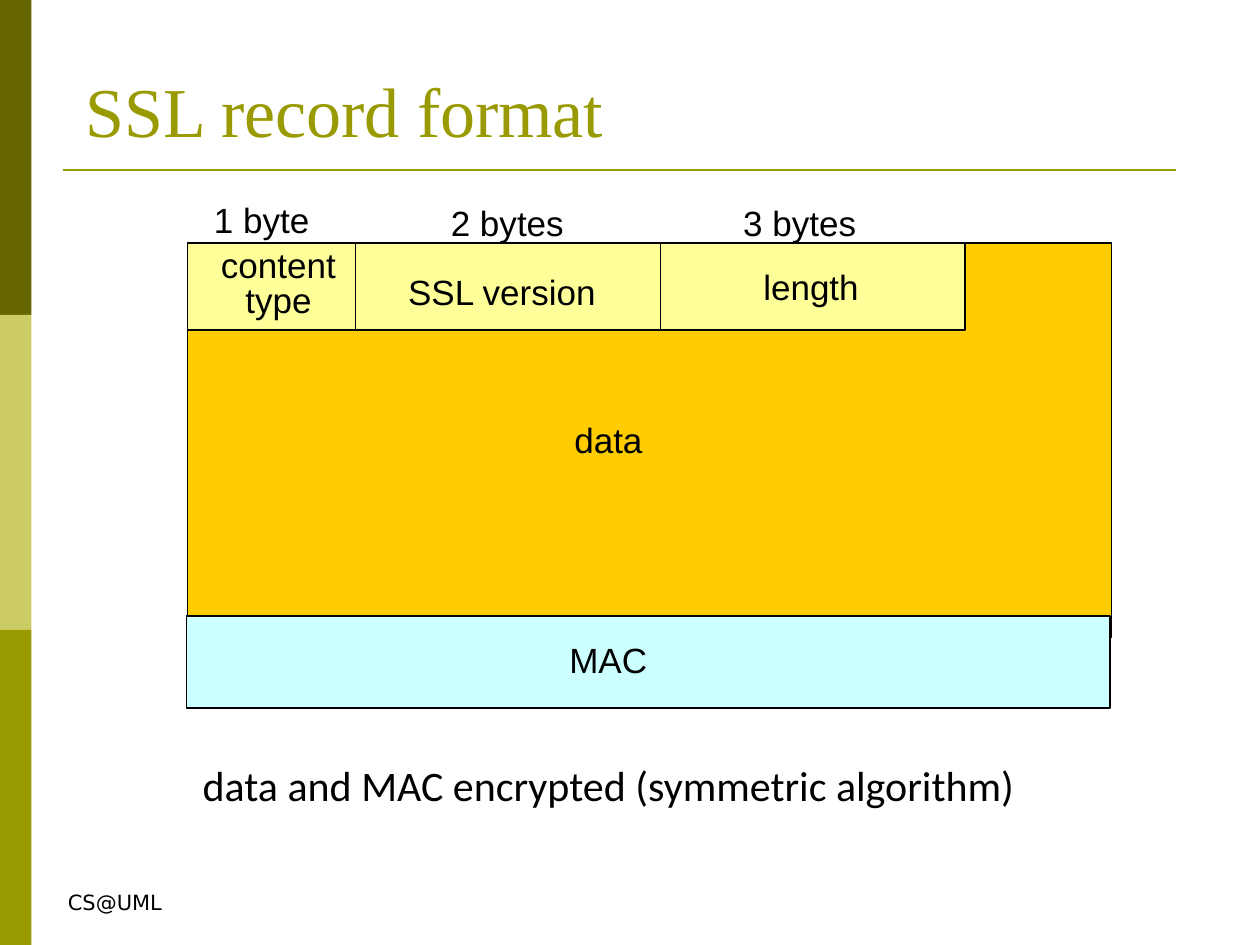
from pptx import Presentation
from pptx.dml.color import RGBColor
from pptx.enum.shapes import MSO_CONNECTOR, MSO_SHAPE
from pptx.enum.text import MSO_ANCHOR, MSO_AUTO_SIZE, PP_ALIGN
from pptx.oxml.ns import qn
from pptx.util import Inches, Pt
from lxml import etree

RECTANGLE = MSO_SHAPE.RECTANGLE
STRAIGHT = MSO_CONNECTOR.STRAIGHT
LEFT, CENTER = PP_ALIGN.LEFT, PP_ALIGN.CENTER
BOTTOM = MSO_ANCHOR.BOTTOM
FIT_SHAPE, NO_FIT = MSO_AUTO_SIZE.SHAPE_TO_FIT_TEXT, MSO_AUTO_SIZE.NONE
TITLE_ONLY = 5
COLUMNS, ROWS = 100, 75

BLACK, OLIVE = "000000", "999900"
HEADER_FILL, DATA_FILL, MAC_FILL = "FFFF99", "FFCC00", "CCFFFF"


def color(value):
    return RGBColor.from_string(value)


class RecordSlide:
    font, size = "Arial", 20

    def __init__(self, deck):
        self.column = deck.slide_width / COLUMNS
        self.row = deck.slide_height / ROWS
        self.slide = deck.slides.add_slide(deck.slide_layouts[TITLE_ONLY])
        self.shapes = self.slide.shapes

    def place(self, left, top, width, height):
        return (round(left * self.column), round(top * self.row),
                round(width * self.column), round(height * self.row))

    def add_text(self, paragraph, text, font, size, ink, align):
        paragraph.alignment = align
        run = paragraph.add_run()
        run.text = text
        run.font.name = font
        run.font.size = Pt(size)
        run.font.color.rgb = color(ink)

    def title(self, text, *cell):
        holder = self.shapes.title
        holder.left, holder.top, holder.width, holder.height = self.place(*cell)
        frame = holder.text_frame
        frame.vertical_anchor = BOTTOM
        frame.auto_size = NO_FIT
        self.add_text(frame.paragraphs[0], text, "Times New Roman", 40, OLIVE, LEFT)

    def block(self, fill, *cell, outline=None):
        block = self.shapes.add_shape(RECTANGLE, *self.place(*cell))
        block.shadow.inherit = False
        block.fill.solid()
        block.fill.fore_color.rgb = color(fill)
        if outline:
            block.line.color.rgb = color(outline)
            block.line.width = Pt(0.75)
        else:
            block.line.fill.background()

    def rule(self, left, right, top, ink, weight):
        x, y, length, _ = self.place(left, top, right - left, 0)
        rule = self.shapes.add_connector(STRAIGHT, x, y, x + length, y)
        rule.line.color.rgb = color(ink)
        rule.line.width = Pt(weight)
        etree.SubElement(rule._element.spPr, qn("a:effectLst"))

    def label(self, lines, *cell, font=font, size=size, align=LEFT, spacing=None):
        frame = self.shapes.add_textbox(*self.place(*cell)).text_frame
        frame.word_wrap = False
        frame.auto_size = FIT_SHAPE
        for index, line in enumerate(lines):
            paragraph = frame.add_paragraph() if index else frame.paragraphs[0]
            if spacing:
                paragraph.line_spacing = Pt(spacing)
            self.add_text(paragraph, line, font, size, BLACK, align)


def main():
    deck = Presentation()
    deck.slide_width, deck.slide_height = Inches(10), Inches(7.5)
    page = RecordSlide(deck)

    band_height = ROWS / 3
    for index, band in enumerate(("666600", "CCCC66", OLIVE)):
        page.block(band, 0, index * band_height, 2.5, band_height)
    page.rule(5, 93.3, 13.5, OLIVE, 1.5)
    page.label(["CS@UML"], 4.4, 70.1, 9.5, 3, font="DejaVu Sans", size=12)
    page.title("SSL record format", 5.8, 0, 85, 12.5)

    record_left, record_top, record_width = 14.9, 19.3, 73.3
    page.block(DATA_FILL, record_left, record_top, record_width, 31.3, outline=BLACK)
    field_left = record_left
    for field_width in (13.3, 24.2, 24.2):
        page.block(HEADER_FILL, field_left, record_top, field_width, 6.9, outline=BLACK)
        field_left += field_width
    page.block(MAC_FILL, 14.8, 48.9, record_width, 7.3, outline=BLACK)

    page.label(["content", "type"], 16.5, 19.4, 11.2, 6.6, align=CENTER, spacing=20)
    for text, left, top, width in (
        ("SSL version", 31.4, 21, 17),
        ("length", 59.6, 20.6, 9.7),
        ("MAC", 44.2, 50.2, 8.3),
        ("data", 44.6, 32.7, 7.5),
        ("1 byte", 16, 15.3, 9.7),
        ("2 bytes", 34.8, 15.5, 11),
        ("3 bytes", 58, 15.5, 11),
    ):
        page.label([text], left, top, width, 4.4)
    page.label(["data and MAC encrypted (symmetric algorithm)"],
               15.1, 59.8, 67.5, 5.1, font="Calibri", size=24)

    deck.save("out.pptx")


if __name__ == "__main__":
    main()
